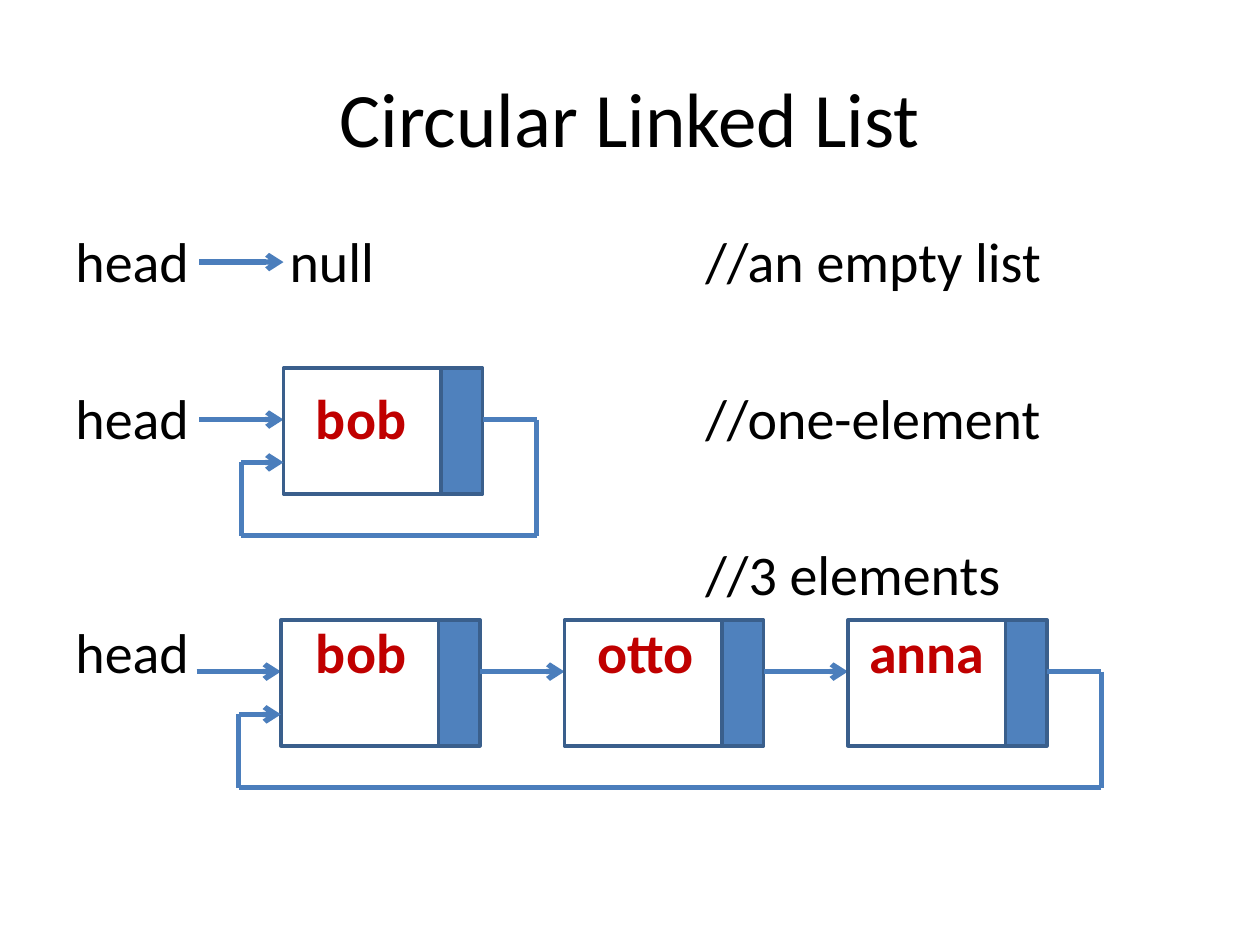
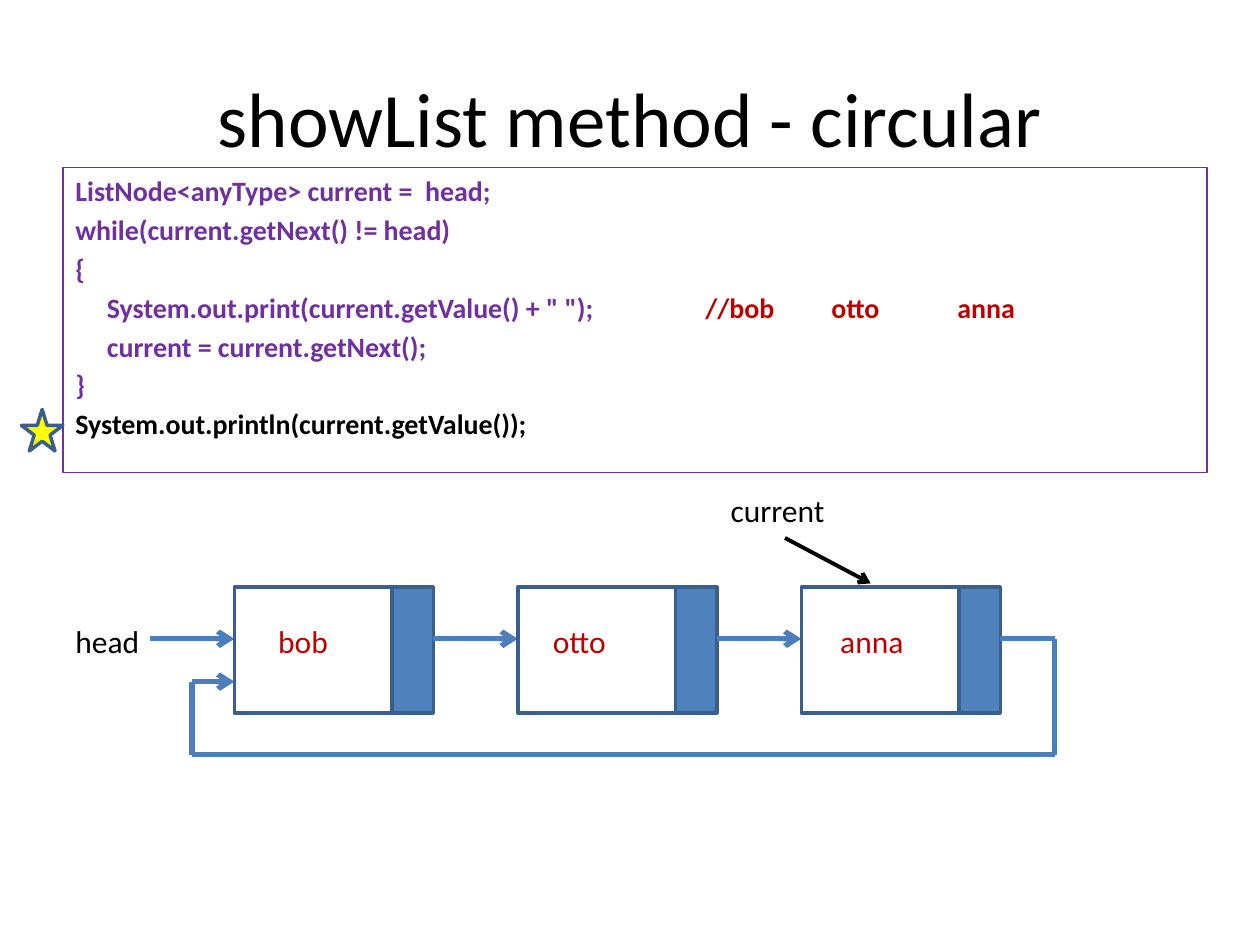
import pptx
import pptx.dml.color
import pptx.enum.shapes
import pptx.enum.text
import pptx.oxml.ns
import pptx.util
import lxml.etree

Inches = pptx.util.Inches
SHAPES = pptx.enum.shapes.MSO_SHAPE
COLORS = {
    "black": "000000",
    "red": "C00000",
    "purple": "7030A0",
    "yellow": "FFFF00",
    "node": "4F81BD",
    "outline": "3A5F8C",
    "wire": "4B7EBC",
}


def color(name):
    return pptx.dml.color.RGBColor.from_string(COLORS[name])


def add_child(parent, tag, **attributes):
    child = lxml.etree.SubElement(parent, pptx.oxml.ns.qn(tag))
    for key, value in attributes.items():
        child.set(key, value)
    return child


def add_run(paragraph, text, size=18, ink="black", bold=False):
    run = paragraph.add_run()
    run.text = text
    run.font.name = "Calibri"
    run.font.size = pptx.util.Pt(size)
    run.font.bold = bold
    run.font.color.rgb = color(ink)


class Deck:
    node_width = 1.25
    link_width = 0.33
    node_height = 1
    gap = 0.67
    loop_gap = 0.43
    wire_drop = 0.41
    return_drop = 0.75
    loop_drop = 1.33

    def __init__(self):
        self.presentation = pptx.Presentation()
        self.presentation.slide_width = Inches(10)
        self.presentation.slide_height = Inches(7.5)
        self.slide = None

    def add_slide(self, title):
        layout = self.presentation.slide_layouts[5]
        self.slide = self.presentation.slides.add_slide(layout)
        shape = self.slide.shapes.title
        shape.left, shape.top = Inches(0.5), Inches(0.3)
        shape.width, shape.height = Inches(9), Inches(1.25)
        shape.text_frame.vertical_anchor = pptx.enum.text.MSO_ANCHOR.MIDDLE
        paragraph = shape.text_frame.paragraphs[0]
        paragraph.alignment = pptx.enum.text.PP_ALIGN.CENTER
        add_run(paragraph, title, size=44)

    def text(self, left, top, width, height, rows, size=18, border=None):
        shape = self.slide.shapes.add_textbox(
            Inches(left), Inches(top), Inches(width), Inches(height))
        if border:
            shape.line.color.rgb = color(border)
            shape.line.width = pptx.util.Pt(0.75)
        frame = shape.text_frame
        frame.word_wrap = True
        for index, (space, stops, runs) in enumerate(rows):
            paragraph = frame.add_paragraph() if index else frame.paragraphs[0]
            paragraph.space_before = pptx.util.Pt(space)
            if stops:
                tabs = add_child(paragraph._p.get_or_add_pPr(), "a:tabLst")
                for stop in stops:
                    add_child(tabs, "a:tab", pos=str(Inches(stop)), algn="l")
            for text, ink, bold in runs:
                add_run(paragraph, text, size=size, ink=ink, bold=bold)

    def shape(self, kind, left, top, width, height, fill=None):
        shape = self.slide.shapes.add_shape(
            kind, Inches(left), Inches(top), Inches(width), Inches(height))
        shape.shadow.inherit = False
        shape.line.color.rgb = color("outline")
        shape.line.width = pptx.util.Pt(2)
        if fill:
            shape.fill.solid()
            shape.fill.fore_color.rgb = color(fill)
        else:
            shape.fill.background()

    def line(self, start, end, arrow=False, ink="wire", width=3):
        connector = self.slide.shapes.add_connector(
            pptx.enum.shapes.MSO_CONNECTOR.STRAIGHT,
            *(Inches(value) for value in (*start, *end)))
        connector.line.color.rgb = color(ink)
        connector.line.width = pptx.util.Pt(width)
        if arrow:
            add_child(connector.line._get_or_add_ln(), "a:tailEnd", type="arrow")
        add_child(connector._element.spPr, "a:effectLst")

    def circular_list(self, left, top, count):
        wire = top + self.wire_drop
        back = top + self.return_drop
        bottom = top + self.loop_drop
        node = left
        for _ in range(count):
            self.line((node - self.gap, wire), (node, wire), arrow=True)
            self.shape(SHAPES.RECTANGLE, node, top, self.node_width, self.node_height)
            link = node + self.node_width
            self.shape(SHAPES.RECTANGLE, link, top, self.link_width,
                       self.node_height, fill="node")
            end = link + self.link_width
            node = end + self.gap
        right = end + self.loop_gap
        entry = left - self.gap / 2
        corners = [(end, wire), (right, wire), (right, bottom),
                   (entry, bottom), (entry, back)]
        for start, finish in zip(corners, corners[1:]):
            self.line(start, finish)
        self.line((entry, back), (left, back), arrow=True)


deck = Deck()

deck.add_slide("Circular Linked List")
deck.text(0.5, 1.75, 9, 4.95, [
    (0, [1.7, 5], [("head\tnull\t//an empty list", "black", False)]),
    (51, [1.91, 5], [("head\t", "black", False), ("bob", "red", True),
                     ("\t//one-element", "black", False)]),
    (51, [5], [("\t//3 elements", "black", False)]),
    (6, [1.91, 4.14, 6.3], [("head\t", "black", False),
                            ("bob\totto\tanna", "red", True)]),
], size=32)
deck.line((1.58, 2.08), (2.25, 2.08), arrow=True)
deck.circular_list(2.25, 2.92, 1)
deck.circular_list(2.23, 4.92, 3)

deck.add_slide("showList method - circular")
code_stops = [0.25, 5, 6, 7]
code = [
    [("ListNode<anyType> current =  head;", "purple", True)],
    [("while(current.getNext() != head)", "purple", True)],
    [("{", "purple", True)],
    [("\tSystem.out.print(current.getValue() + \" \");\t", "purple", True),
     ("//bob\totto\tanna", "red", True)],
    [("\tcurrent = current.getNext();", "purple", True)],
    [("}", "purple", True)],
    [("System.out.println(current.getValue());", "black", True)],
]
deck.text(0.5, 1.33, 9.08, 2.42,
          [(3 if index else 0, code_stops, runs) for index, runs in enumerate(code)],
          size=16, border="purple")
deck.circular_list(1.86, 4.66, 3)
deck.text(0.5, 4.89, 9.33, 0.4, [
    (0, [1.61, 3.79, 6.07], [("head\t", "black", False),
                             ("bob\totto\tanna", "red", False)]),
])
deck.shape(SHAPES.STAR_5_POINT, 0.17, 3.25, 0.33, 0.33, fill="yellow")
deck.text(5.7, 3.85, 1.05, 0.42, [(0, [], [("current", "black", False)])])
deck.line((6.23, 4.27), (6.91, 4.63), arrow=True, ink="black", width=2.25)

deck.presentation.save("out.pptx")
